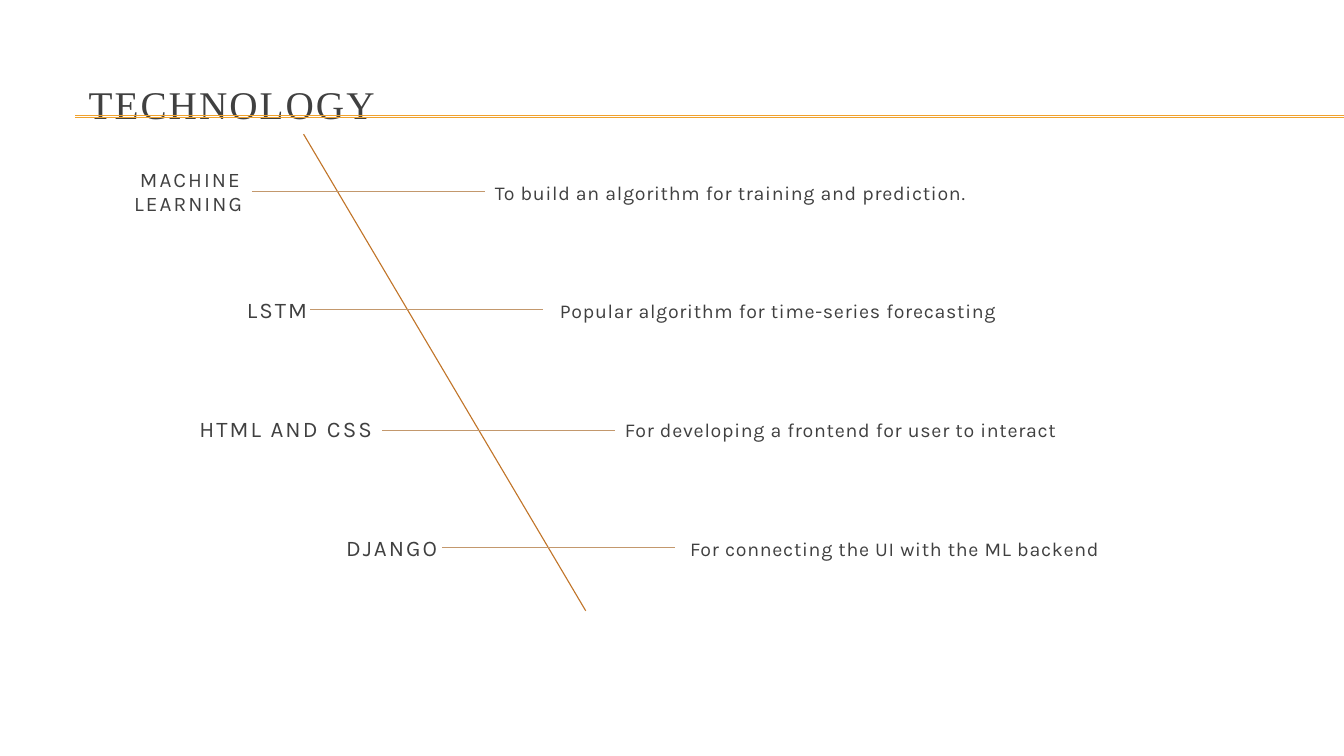
from lxml.etree import SubElement
from pptx import Presentation
from pptx.dml.color import RGBColor
from pptx.enum.shapes import MSO_CONNECTOR
from pptx.enum.text import MSO_ANCHOR, PP_ALIGN
from pptx.oxml.ns import qn
from pptx.util import Cm, Pt

WIDE, HIGH = 33.87, 19.05
INK, GOLD, RUST, TAN = "404040", "F0A22E", "C17529", "C3986D"

# Label, label size, description, left and height of the leader line
ROWS = [
    ("MACHINE LEARNING", 14.8,
     "To build an algorithm for training and prediction.", 6.35, 4.83),
    ("LSTM", 16, "Popular algorithm for time-series forecasting", 7.82, 7.8),
    ("HTML AND CSS", 16,
     "For developing a frontend for user to interact", 9.63, 10.85),
    ("DJANGO", 16, "For connecting the UI with the ML backend", 11.15, 13.79),
]


def color(code):
    return RGBColor.from_string(code)


def draw_line(slide, start, end, code, width):
    line = slide.shapes.add_connector(
        MSO_CONNECTOR.STRAIGHT, *map(Cm, (*start, *end)))
    line.line.color.rgb = color(code)
    line.line.width = Pt(width)
    SubElement(line._element.spPr, qn("a:effectLst"))


def set_text(shape, text, font, size, track, align, anchor):
    frame = shape.text_frame
    frame.text = text
    frame.word_wrap = True
    frame.vertical_anchor = anchor
    para = frame.paragraphs[0]
    para.alignment = align
    run = para.runs[0]
    run.font.name = font
    run.font.size = Pt(size)
    run.font.color.rgb = color(INK)
    run._r.get_or_add_rPr().set("spc", str(int(track * 100)))
    return frame


def add_text(slide, box, text, size, track, align, anchor):
    shape = slide.shapes.add_textbox(*map(Cm, box))
    frame = set_text(shape, text, "Karla", size, track, align, anchor)
    frame.paragraphs[0].space_before = Pt(round(size * 0.2, 1))
    return frame


def add_head(slide, left, top, width, height):
    # Double rule running to the right edge
    for y in (top + 1.12, top + 1.15):
        draw_line(slide, (left - 0.08, y), (WIDE, y), GOLD, 0.75)
    # Title
    title = slide.shapes.title
    title.left, title.top = Cm(left), Cm(top)
    title.width, title.height = Cm(width), Cm(height)
    set_text(title, "TECHNOLOGY", "Times New Roman", 28, 1.5,
             PP_ALIGN.LEFT, MSO_ANCHOR.MIDDLE)


def add_row(slide, left, top, row):
    label, size, note, x, y = row
    # Label on the left of the diagonal
    frame = add_text(slide, (left, top, 5.94, 1.42), label, size, 1.5,
                     PP_ALIGN.RIGHT, MSO_ANCHOR.MIDDLE)
    frame.margin_left = Cm(1)
    # Description on the right
    add_text(slide, (left + 11.81, top + 0.32, 15.39, 2.82), note, 14, 0.5,
             PP_ALIGN.LEFT, MSO_ANCHOR.TOP)
    # Leader line between them
    draw_line(slide, (x, y), (x + 5.87, y), TAN, 0.79)


def add_steps(slide, left, top):
    # Diagonal spine
    draw_line(slide, (left + 7.24, top - 0.73), (left + 14.35, top + 11.28),
              RUST, 0.79)
    # Rows stepping down to the right
    for i, row in enumerate(ROWS):
        add_row(slide, left + 1.64 * i, top + 2.99 * i, row)


def main():
    deck = Presentation()
    deck.slide_width, deck.slide_height = Cm(WIDE), Cm(HIGH)
    slide = deck.slides.add_slide(deck.slide_layouts.get_by_name("Title Only"))
    add_head(slide, 1.98, 1.8, 11.33, 1.63)
    add_steps(slide, 0.41, 4.11)
    deck.save("out.pptx")


if __name__ == "__main__":
    main()
